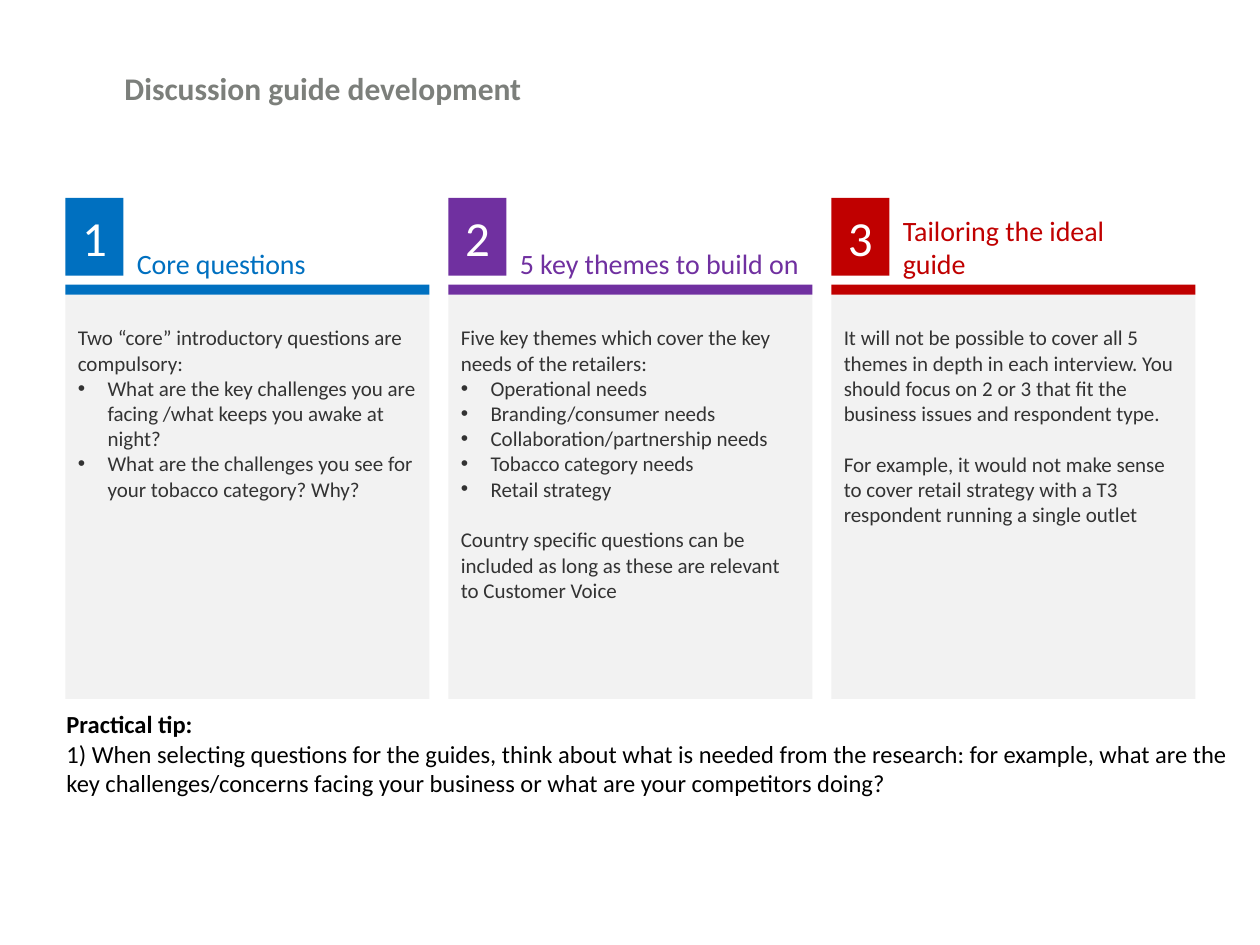
from lxml import etree
from pptx import Presentation
from pptx import util as u
from pptx.dml.color import RGBColor
from pptx.enum import shapes, text
from pptx.oxml import ns

FONT = "Calibri"
COLORS = {
    "title": "7C7F7B", "body": "333333", "panel": "F2F2F2",
    "white": "FFFFFF", "black": "000000",
    "blue": "0070C0", "purple": "7030A0", "red": "C00000",
}
TITLE = "Discussion guide development"
PLAIN, BULLET, SPACED = "plain", "bullet", "spaced"
COLUMNS = [
    ("Core questions", "blue", 5.08, [
        (PLAIN, "Two “core” introductory questions are compulsory:"),
        (BULLET, "What are the key challenges you are facing /what keeps you awake at night?"),
        (BULLET, "What are the challenges you see for your tobacco category? Why?"),
    ]),
    ("5 key themes to build on", "purple", 6.17, [
        (PLAIN, "Five key themes which cover the key needs of the retailers:"),
        (BULLET, "Operational needs"),
        (BULLET, "Branding/consumer needs"),
        (BULLET, "Collaboration/partnership needs"),
        (BULLET, "Tobacco category needs"),
        (BULLET, "Retail strategy"),
        (SPACED, "Country specific questions can be included as long as these "
                 "are relevant to Customer Voice"),
    ]),
    ("Tailoring the ideal guide", "red", 5.08, [
        (PLAIN, "It will not be possible to cover all 5 themes in depth in each interview. "
                "You should focus on 2 or 3 that fit the business issues and respondent type."),
        (SPACED, "For example, it would not make sense to cover retail strategy with a T3 "
                 "respondent running a single outlet"),
    ]),
]
TIP_HEADING = "Practical tip:"
TIP = ("1) When selecting questions for the guides, think about what is needed from the "
       "research: for example, what are the key challenges/concerns facing your business "
       "or what are your competitors doing?")

LEFT, PITCH, WIDTH = 1.32, 7.72, 7.34
BADGE_TOP, BADGE_WIDTH, BADGE_HEIGHT = 3.99, 1.17, 1.57
HEADING_TOP, HEADING_HEIGHT = 3.91, 1.87
BAR_TOP, BAR_HEIGHT = 5.74, 0.2
PANEL_TOP, PANEL_HEIGHT = 5.94, 8.15
INDENT = u.Cm(0.6)
LINE_GAP = u.Pt(14.65)


def color(name):
    return RGBColor.from_string(COLORS[name])


def set_frame(box, anchor, margins):
    frame = box.text_frame
    frame.word_wrap = True
    frame.vertical_anchor = anchor
    (frame.margin_left, frame.margin_top,
     frame.margin_right, frame.margin_bottom) = map(u.Cm, margins)


def add_text(slide, place, anchor=text.MSO_ANCHOR.TOP, margins=(0.25, 0.13, 0.25, 0.13)):
    box = slide.shapes.add_textbox(*map(u.Cm, place))
    set_frame(box, anchor, margins)
    return box


def add_block(slide, place, fill):
    block = slide.shapes.add_shape(shapes.MSO_SHAPE.RECTANGLE, *map(u.Cm, place))
    block.shadow.inherit = False
    block.fill.solid()
    block.fill.fore_color.rgb = color(fill)
    block.line.fill.background()
    return block


def write(para, words, size, ink, bold=False, align=text.PP_ALIGN.LEFT):
    para.text = words
    para.alignment = align
    font = para.font
    font.name, font.size, font.bold = FONT, u.Pt(size), bold
    font.color.rgb = color(ink)


def add_bullet(para):
    props = para._p.get_or_add_pPr()
    props.set("marL", str(INDENT))
    props.set("indent", str(-INDENT))
    etree.SubElement(props, ns.qn("a:buFont")).set("typeface", "Arial")
    etree.SubElement(props, ns.qn("a:buChar")).set("char", "•")


def fill_panel(panel, lines):
    set_frame(panel, text.MSO_ANCHOR.TOP, (0.25, 0.61, 0.25, 0.13))
    frame = panel.text_frame
    for index, (style, words) in enumerate(lines):
        para = frame.add_paragraph() if index else frame.paragraphs[0]
        if style == BULLET:
            add_bullet(para)
        elif style == SPACED:
            para.space_before = LINE_GAP
        write(para, words, 12, "body")


def add_column(slide, index, heading, accent, heading_width, lines):
    left = LEFT + index * PITCH
    panel = add_block(slide, (left, PANEL_TOP, WIDTH, PANEL_HEIGHT), "panel")
    fill_panel(panel, lines)
    add_block(slide, (left, BAR_TOP, WIDTH, BAR_HEIGHT), accent)
    label = add_text(slide, (left + BADGE_WIDTH + 0.02, HEADING_TOP, heading_width, HEADING_HEIGHT),
                     text.MSO_ANCHOR.BOTTOM)
    write(label.text_frame.paragraphs[0], heading, 16, accent)
    badge = add_block(slide, (left, BADGE_TOP, BADGE_WIDTH, BADGE_HEIGHT), accent)
    set_frame(badge, text.MSO_ANCHOR.MIDDLE, (0, 0, 0, 0))
    write(badge.text_frame.paragraphs[0], str(index + 1), 28, "white", align=text.PP_ALIGN.CENTER)


def main():
    deck = Presentation()
    deck.slide_width, deck.slide_height = u.Cm(25.4), u.Cm(19.05)
    slide = deck.slides.add_slide(deck.slide_layouts[6])

    title = add_text(slide, (2.51, 1.4, 21.59, 2.13), margins=(0, 0, 0, 0))
    write(title.text_frame.paragraphs[0], TITLE, 18, "title", bold=True)

    for index, column in enumerate(COLUMNS):
        add_column(slide, index, *column)

    tip = add_text(slide, (1.09, 14.17, 24, 2.64)).text_frame
    write(tip.paragraphs[0], TIP_HEADING, 14, "black", bold=True)
    write(tip.add_paragraph(), TIP, 14, "black")

    deck.save("out.pptx")


if __name__ == "__main__":
    main()
